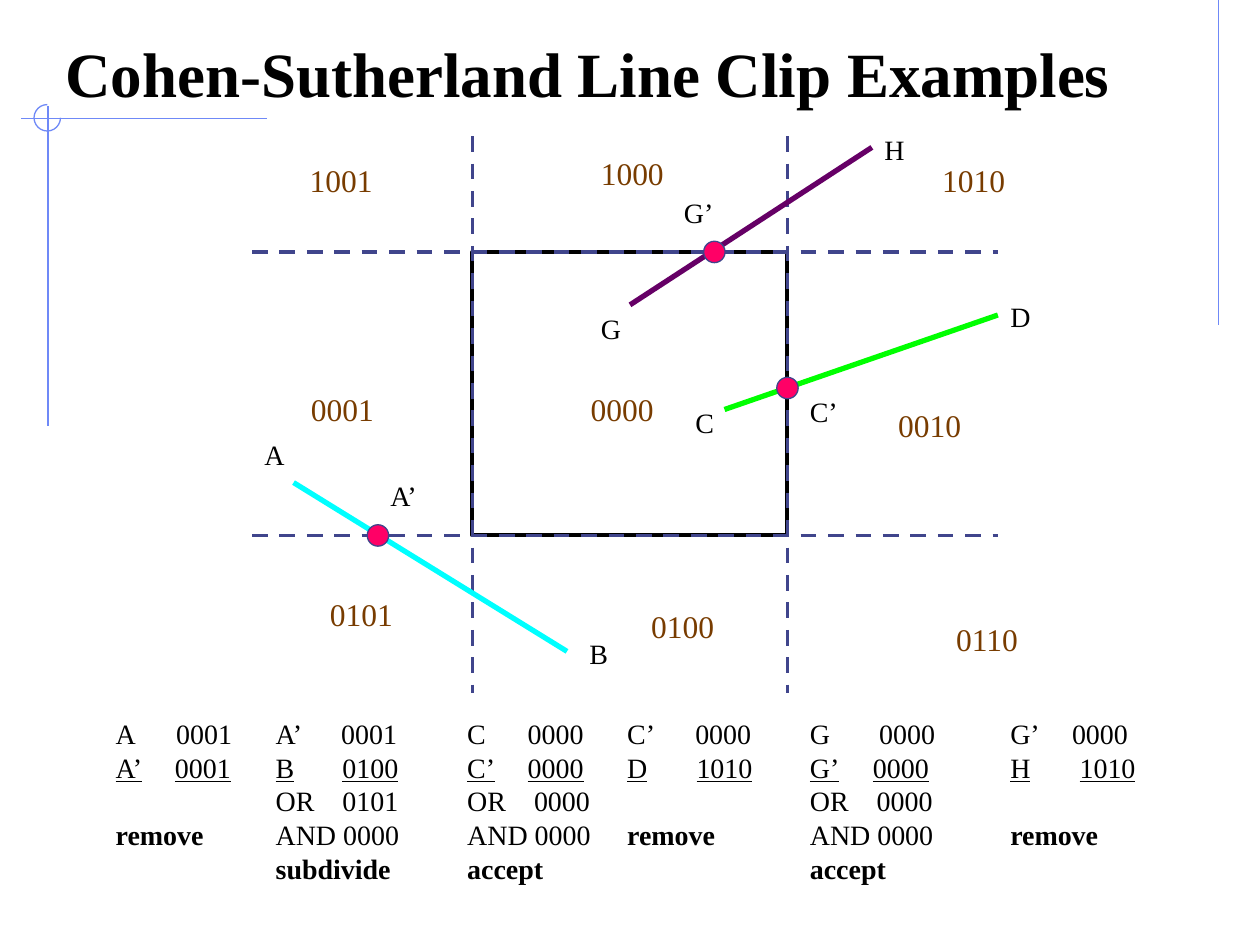
from lxml import etree
from pptx import Presentation
from pptx.dml.color import RGBColor
from pptx.enum.dml import MSO_LINE
from pptx.enum.shapes import MSO_CONNECTOR, MSO_SHAPE
from pptx.enum.text import MSO_ANCHOR
from pptx.oxml.ns import qn
from pptx.util import Inches, Pt

DASH, STRAIGHT = MSO_LINE.DASH, MSO_CONNECTOR.STRAIGHT
RECT, OVAL, ARC = MSO_SHAPE.RECTANGLE, MSO_SHAPE.OVAL, MSO_SHAPE.ARC
FONT = "Times New Roman"
BLACK, BROWN, NAVY, TRIM, PINK = "000000", "783C00", "40458C", "6F89F7", "FF0066"

# Content: clip window, segments, crossings, labels, region codes
LEFT, TOP, RIGHT, BOTTOM = 3.75, 2, 6.25, 4.25
TRIMS = [(9.67, 0, 9.67, 2.58), (0.17, 0.94, 2.12, 0.94), (0.38, 0.84, 0.38, 3.38)]
SEGMENTS = [(2.33, 3.83, 4.5, 5.17, "00FFFF"), (5, 2.42, 6.92, 1.17, "660066"),
            (5.75, 3.25, 7.92, 2.5, "00FF00")]
DOTS = [(3, BOTTOM), (RIGHT, 3.08), (5.67, TOP)]
LABELS = [("A", 2, 3.42), ("B", 4.58, 5), ("G", 4.67, 2.42), ("H", 6.92, 1),
          ("C", 5.42, 3.17), ("D", 7.92, 2.33), ("A’", 3, 3.75),
          ("G’", 5.33, 1.5), ("C’", 6.33, 3.08)]
CODES = [("1001", 2.36, 1.23), ("1000", 4.67, 1.17), ("1010", 7.38, 1.23),
         ("0001", 2.37, 3.05), ("0000", 4.59, 3.05), ("0010", 7.03, 3.17),
         ("0101", 2.52, 4.67), ("0100", 5.07, 4.77), ("0110", 7.49, 4.87)]

# Tests: left, width, two ends as (name, code, tab), OR code, verdict
TESTS = [
    (0.82, 1.18, [("A", "0001", 0.48), ("A’", "0001", 0.47)], None, "remove"),
    (2.09, 1.43, [("A’", "0001", 0.52), ("B", "0100", 0.53)], "0101", "subdivide"),
    (3.61, 1.18, [("C", "0000", 0.48), ("C’", "0000", 0.48)], "0000", "accept"),
    (4.88, 1.36, [("C’", "0000", 0.54), ("D", "1010", 0.55)], None, "remove"),
    (6.33, 1.5, [("G", "0000", 0.55), ("G’", "0000", 0.5)], "0000", "accept"),
    (7.92, 1.47, [("G’", "0000", 0.49), ("H", "1010", 0.55)], None, "remove"),
]

deck = Presentation()
deck.slide_width, deck.slide_height = Inches(10), Inches(7.5)
slide = deck.slides.add_slide(deck.slide_layouts[6])


def paint(text):
    return RGBColor.from_string(text)


def line(x1, y1, x2, y2, color, width, dash=None):
    part = slide.shapes.add_connector(STRAIGHT, *map(Inches, (x1, y1, x2, y2)))
    part.line.color.rgb, part.line.width = paint(color), Pt(width)
    if dash:
        part.line.dash_style = dash
    etree.SubElement(part._element.spPr, qn("a:effectLst"))


def shape(kind, x, y, w, h, color, width, fill=None):
    part = slide.shapes.add_shape(kind, *map(Inches, (x, y, w, h)))
    part.shadow.inherit = False
    part.line.color.rgb, part.line.width = paint(color), Pt(width)
    if fill:
        part.fill.solid()
        part.fill.fore_color.rgb = paint(fill)
    else:
        part.fill.background()
    return part


def write(rows, x, y, w, h, size=16, color=BLACK, bold=False, wrap=True,
          anchor=MSO_ANCHOR.TOP):
    """Each row is a string or a dict of text, tab, under, bold and before."""
    frame = slide.shapes.add_textbox(*map(Inches, (x, y, w, h))).text_frame
    frame.word_wrap, frame.vertical_anchor = wrap, anchor
    for i, row in enumerate(rows):
        if isinstance(row, str):
            row = {"text": row}
        para = frame.paragraphs[0] if i == 0 else frame.add_paragraph()
        para.line_spacing = Pt(1.2 * size)
        if "before" in row:
            para.space_before = Pt(row["before"])
        if "tab" in row:
            stops = etree.SubElement(para._p.get_or_add_pPr(), qn("a:tabLst"))
            etree.SubElement(stops, qn("a:tab"), pos=str(Inches(row["tab"])), algn="l")
        run = para.add_run()
        run.text = row["text"]
        font = run.font
        font.name, font.size, font.color.rgb = FONT, Pt(size), paint(color)
        font.bold = row.get("bold", bold)
        font.underline = row.get("under", False)


# Corner trim and title
for ends in TRIMS:
    line(*ends, TRIM, 0.75)
arc = shape(ARC, 0.27, 0.83, 0.21, 0.21, TRIM, 0.75)
arc.adjustments[0], arc.adjustments[1] = 0, 162  # 0 to 270 degrees
write(["Cohen-Sutherland Line Clip Examples"], 0.42, 0.25, 9.42, 0.67,
      size=36, bold=True, anchor=MSO_ANCHOR.BOTTOM)

# Clip window and its extended edges
shape(RECT, LEFT, TOP, RIGHT - LEFT, BOTTOM - TOP, BLACK, 2.25)
for x in (LEFT, RIGHT):
    line(x, 1.08, x, 5.5, NAVY, 2.25, DASH)
for y in (BOTTOM, TOP):
    line(2, y, 7.92, y, NAVY, 2.25, DASH)

# Segments, crossings and labels
for *ends, color in SEGMENTS:
    line(*ends, color, 3)
for x, y in DOTS:
    shape(OVAL, x - 0.085, y - 0.085, 0.17, 0.17, NAVY, 0.75, PINK)
for name, x, y in LABELS:
    write([name], x, y, 0.36 if len(name) == 1 else 0.5, 0.64)
for code, x, y in CODES:
    write([code], x, y, 0.7, 0.4, size=18, color=BROWN, wrap=False)

# Tests below the diagram
for x, w, ends, union, verdict in TESTS:
    rows = [{"text": f"{name}\t{code}", "tab": tab, "under": i == 1}
            for i, (name, code, tab) in enumerate(ends)]
    last = {"text": verdict, "bold": True}
    if union:
        rows += [{"text": f"OR\t{union}", "tab": 0.53}, "AND 0000"]
    else:
        last["before"] = 19.2  # one line left open
    write(rows + [last], x, 5.64, w, 1.44 if union else 1.17)

deck.save("out.pptx")
